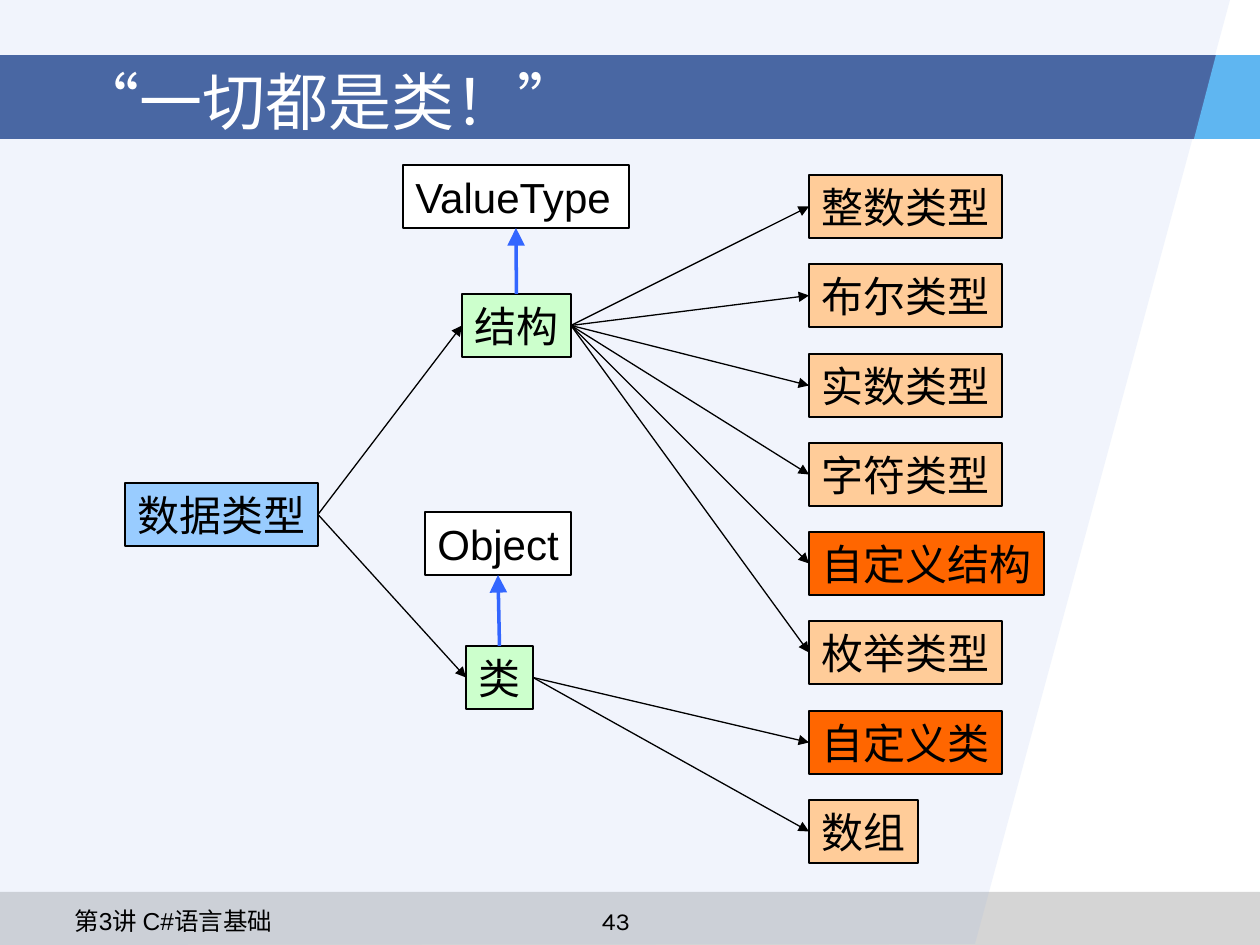
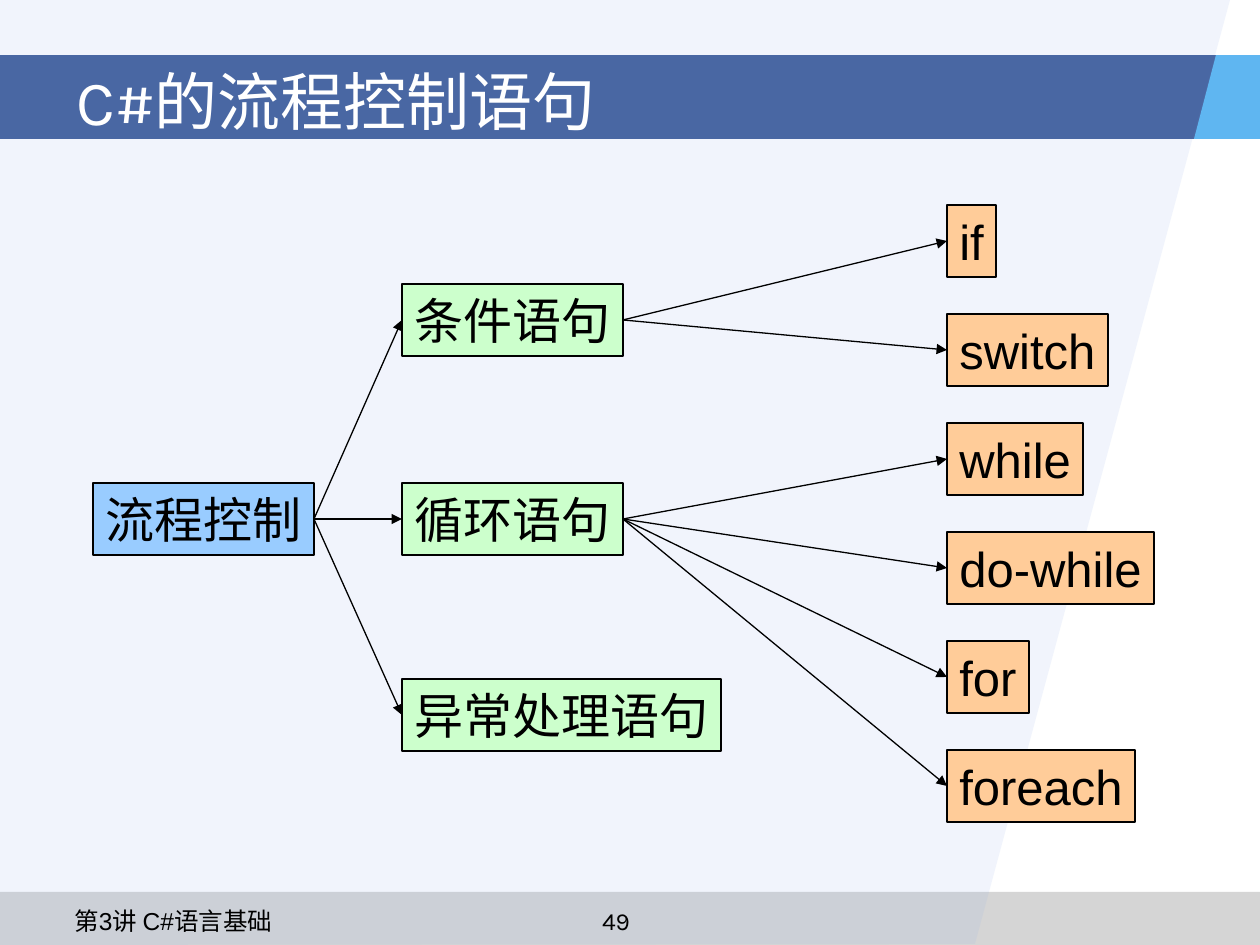
from lxml.etree import SubElement
from pptx import Presentation
from pptx.dml.color import RGBColor
from pptx.enum.lang import MSO_LANGUAGE_ID
from pptx.enum.shapes import MSO_CONNECTOR, MSO_SHAPE
from pptx.enum.text import MSO_ANCHOR, MSO_AUTO_SIZE, PP_ALIGN
from pptx.oxml.ns import qn
from pptx.util import Emu, Pt

EMU_PER_PX = 914400 / 126
PX_PER_POINT = 126 / 72

BLACK = RGBColor(0x00, 0x00, 0x00)
WHITE = RGBColor(0xFF, 0xFF, 0xFF)
GRAY = RGBColor(0x96, 0x96, 0x96)
PALE_BLUE = RGBColor(0x94, 0xB1, 0xEC)
NAVY = RGBColor(0x17, 0x3D, 0x89)
SKY = RGBColor(0x5F, 0xB6, 0xF1)
ROOT_BLUE = RGBColor(0x99, 0xCC, 0xFF)
GREEN = RGBColor(0xCC, 0xFF, 0xCC)
PEACH = RGBColor(0xFF, 0xCC, 0x99)
ORANGE = RGBColor(0xFF, 0x66, 0x00)
ARROW_BLUE = RGBColor(0x33, 0x66, 0xFF)

TITLE_FRAME = {"vertical_anchor": MSO_ANCHOR.MIDDLE, "auto_size": MSO_AUTO_SIZE.NONE,
               "word_wrap": True}
FOOTER_FRAME = {"vertical_anchor": MSO_ANCHOR.TOP, "word_wrap": True}
# No right inset, so that a tight box still holds its text on one line
BOX_FRAME = {"vertical_anchor": MSO_ANCHOR.TOP, "auto_size": MSO_AUTO_SIZE.NONE,
             "word_wrap": True, "margin_right": 0}

TOP, LEFT, BOTTOM, RIGHT = range(4)

# Each box: text, left, top, fill, and a width where the text is Latin
TYPE_LEAVES = ["整数类型", "布尔类型", "实数类型", "字符类型",
               "自定义结构", "枚举类型", "自定义类", "数组"]
STATEMENT_LEAVES = {"if": 49, "switch": 161, "while": 136,
                    "do-while": 207, "for": 82, "foreach": 188}
DIAGRAMS = [
    {
        "title": "“一切都是类！”", "number": "43", "size": 24, "height": 63,
        "boxes": [
            ("数据类型", 125, 483, ROOT_BLUE, None),
            ("结构", 462, 294, GREEN, None),
            ("类", 466, 646, GREEN, None),
            *[(text, 809, round(175 + row * 625 / 7),
               ORANGE if text.startswith("自定义") else PEACH, None)
              for row, text in enumerate(TYPE_LEAVES)],
            ("Object", 425, 512, WHITE, 146),
            ("ValueType", 403, 165, WHITE, 226),
        ],
        "branches": {"结构": TYPE_LEAVES[:6], "类": TYPE_LEAVES[6:],
                     "数据类型": ["结构", "类"]},
        "bases": {"结构": "ValueType", "类": "Object"},
    },
    {
        "title": "C#的流程控制语句", "number": "49", "size": 28, "height": 72,
        "boxes": [
            ("流程控制", 93, 483, ROOT_BLUE, None),
            ("条件语句", 402, 284, GREEN, None),
            ("循环语句", 402, 483, GREEN, None),
            ("异常处理语句", 402, 679, GREEN, None),
            *[(text, 947, 205 + 109 * row, PEACH, width)
              for row, (text, width) in enumerate(STATEMENT_LEAVES.items())],
        ],
        "branches": {"流程控制": ["条件语句", "循环语句", "异常处理语句"],
                     "条件语句": ["if", "switch"],
                     "循环语句": ["while", "do-while", "for", "foreach"]},
        "bases": {},
    },
]


def px(*lengths):
    return [Emu(round(length * EMU_PER_PX)) for length in lengths]


def write(shape, text, frame_format, size, font_name, color=BLACK, alignment=PP_ALIGN.LEFT):
    frame = shape.text_frame
    for name, value in frame_format.items():
        setattr(frame, name, value)
    paragraph = frame.paragraphs[0]
    paragraph.alignment = alignment
    run = paragraph.add_run()
    run.text = text
    font_format = {"size": Pt(size), "name": font_name,
                   "language_id": MSO_LANGUAGE_ID.SIMPLIFIED_CHINESE}
    for name, value in font_format.items():
        setattr(run.font, name, value)
    run.font.color.rgb = color


presentation = Presentation()
presentation.slide_width, presentation.slide_height = px(1260, 945)
layout = presentation.slide_layouts[5]
slides = [presentation.slides.add_slide(layout) for _ in DIAGRAMS]

# Shared background, drawn once and moved to the layout
shapes = slides[0].shapes
footer_band = shapes.add_shape(MSO_SHAPE.RECTANGLE, *px(0, 892, 1260, 53))
slant_outline = shapes.build_freeform(0, 0, scale=EMU_PER_PX)
slant_outline.add_line_segments([(1230, 0), (975, 944), (0, 945)])
slant = slant_outline.convert_to_shape()
title_band = shapes.add_shape(MSO_SHAPE.RECTANGLE, *px(0, 55, 1260, 84))
corner_outline = shapes.build_freeform(1216, 55, scale=EMU_PER_PX)
corner_outline.add_line_segments([(1194, 139), (1260, 139), (1260, 55)])
corner = corner_outline.convert_to_shape()

backdrop = [(footer_band, GRAY, 40), (slant, PALE_BLUE, 13),
            (title_band, NAVY, 77), (corner, SKY, 100)]
for index, (shape, color, opacity) in enumerate(backdrop):
    shape.shadow.inherit = False
    shape.line.fill.background()
    shape.fill.solid()
    shape.fill.fore_color.rgb = color
    if opacity < 100:
        color_element = shape.element.find(".//" + qn("a:srgbClr"))
        SubElement(color_element, qn("a:alpha"), val=str(opacity * 1000))
    shape.element.find(".//" + qn("p:cNvPr")).set("id", str(100 + index))
    layout.shapes.element.insert(2 + index, shape.element)

for slide, diagram in zip(slides, DIAGRAMS):
    # Title and footer
    title = slide.shapes.title
    title.left, title.top, title.width, title.height = px(64, 45, 1134, 110)
    write(title, diagram["title"], TITLE_FRAME, 36, "Karla", WHITE)
    number = slide.shapes.add_textbox(*px(532, 900, 168, 32))
    write(number, diagram["number"], FOOTER_FRAME, 14, "Karla", alignment=PP_ALIGN.CENTER)
    lecture = slide.shapes.add_textbox(*px(62, 900, 449, 30))
    write(lecture, "第3讲 C#语言基础", FOOTER_FRAME, 14, "Arial")

    # Boxes, as wide as their full-width characters plus the insets
    boxes = {}
    size = diagram["size"]
    for text, left, top, color, width in diagram["boxes"]:
        width = width or round(25 + len(text) * size * PX_PER_POINT)
        box = slide.shapes.add_shape(MSO_SHAPE.RECTANGLE,
                                     *px(left, top, width, diagram["height"]))
        box.shadow.inherit = False
        box.fill.solid()
        box.fill.fore_color.rgb = color
        box.line.color.rgb = BLACK
        box.line.width = Pt(0.75)
        write(box, text, BOX_FRAME, size, "Arial")
        boxes[text] = box

    # Arrows: branches run left to right, base types lie above
    arrows = [(parent, RIGHT, child, LEFT, BLACK, 0.75, "med")
              for parent, children in diagram["branches"].items() for child in children]
    arrows += [(derived, TOP, base, BOTTOM, ARROW_BLUE, 2, "lg")
               for derived, base in diagram["bases"].items()]
    for start, start_side, end, end_side, color, weight, head_size in arrows:
        arrow = slide.shapes.add_connector(MSO_CONNECTOR.STRAIGHT, 0, 0, 0, 0)
        arrow.begin_connect(boxes[start], start_side)
        arrow.end_connect(boxes[end], end_side)
        arrow.line.color.rgb = color
        arrow.line.width = Pt(weight)
        properties = arrow.element.spPr
        SubElement(properties.find(qn("a:ln")), qn("a:tailEnd"),
                   type="triangle", w=head_size, len=head_size)
        SubElement(properties, qn("a:effectLst"))

presentation.save("out.pptx")
